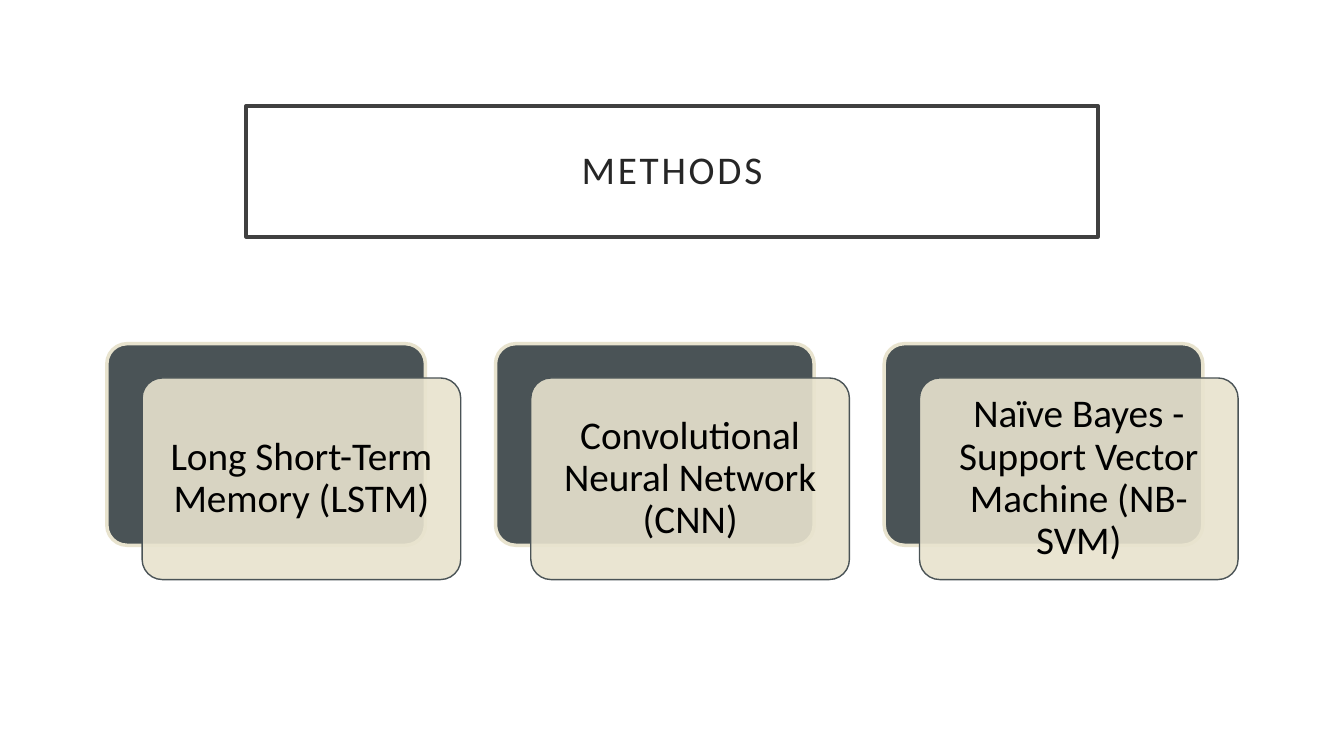
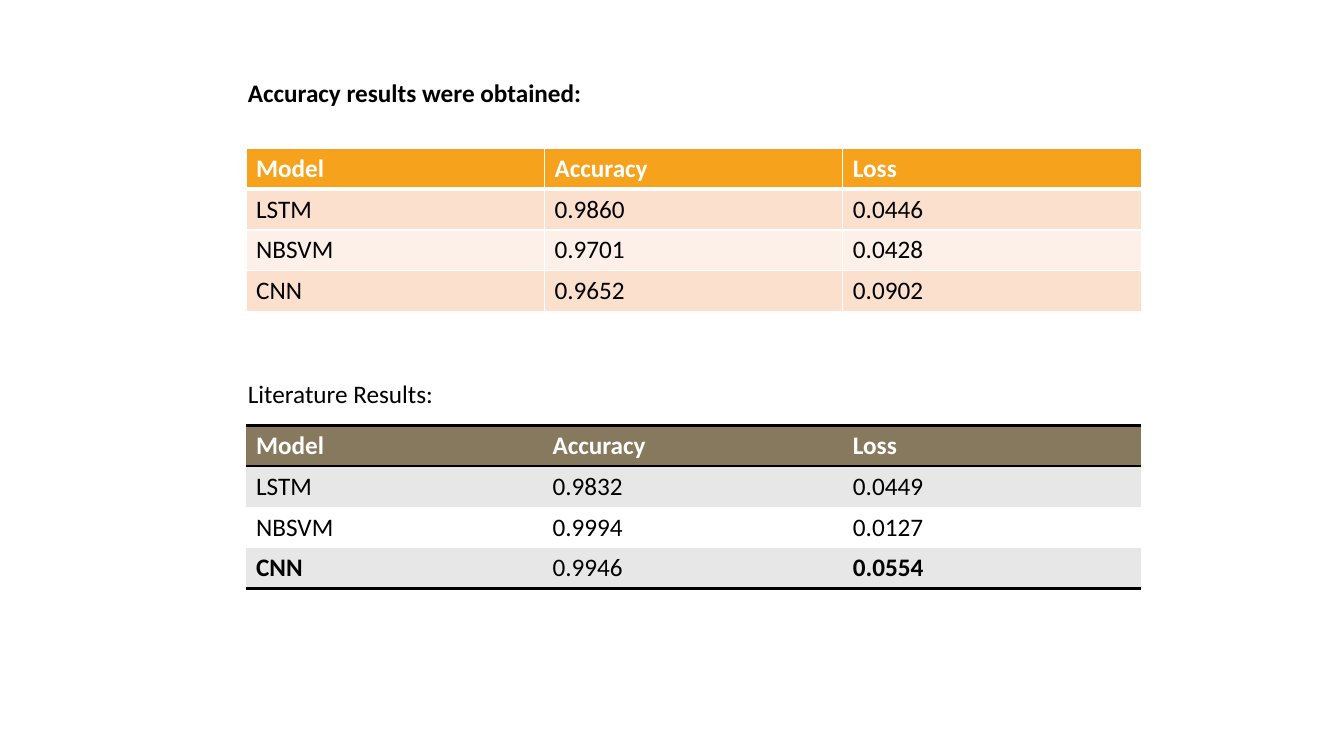
"""Build two slides: the methods and their accuracy results."""
from lxml import etree
from pptx import Presentation
from pptx.dml.color import RGBColor
from pptx.enum.shapes import MSO_SHAPE
from pptx.enum.text import MSO_ANCHOR, MSO_AUTO_SIZE, PP_ALIGN
from pptx.oxml.ns import qn
from pptx.util import Inches, Pt

ROUND = MSO_SHAPE.ROUNDED_RECTANGLE
MIDDLE = MSO_ANCHOR.MIDDLE
CENTER, LEFT = PP_ALIGN.CENTER, PP_ALIGN.LEFT
FIXED, GROW = MSO_AUTO_SIZE.NONE, MSO_AUTO_SIZE.SHAPE_TO_FIT_TEXT

FONT = "Calibri"
BLACK, WHITE = "000000", "FFFFFF"
SLATE, SAND = "4A5356", "E8E3CE"
FRAME, INK = "404040", "262626"
NO_STYLE = "{2D5ABB26-0587-4C30-8999-92F81FD0307C}"
SIDES = ("L", "R", "T", "B")

TITLE = "METHODS"
METHODS = [
    "Long Short-Term Memory (LSTM)",
    "Convolutional Neural Network (CNN)",
    "Naïve Bayes - Support Vector Machine (NB-SVM)",
]
CARD_W, CARD_H = 3.16, 2
CARD_X, CARD_Y, STEP = 1.06, 3.41, 3.855
SHIFT_X, SHIFT_Y = 0.35, 0.34

HEAD = ("Model", "Accuracy", "Loss")
TABLE_X, ROW_H = 2.44, 0.405
RESULTS = [
    {
        "label": "Accuracy results were obtained:", "bold": True,
        "box": (2.36, 0.72, 3.97, 0.4), "top": 1.47,
        "cols": (2.96, 2.96, 2.96),
        "rows": [
            ("LSTM", "0.9860", "0.0446"),
            ("NBSVM", "0.9701", "0.0428"),
            ("CNN", "0.9652", "0.0902"),
        ],
        "head": "F6A21D", "bands": ("FBE0CD", "FDF0E8"), "strong": (),
        "lines": {
            "head": {"L": 1, "R": 1, "T": 1, "B": 3},
            "body": {"L": 1, "R": 1, "T": 1, "B": 1},
            "last": {"L": 1, "R": 1, "T": 1, "B": 1},
        },
        "rule": WHITE,
    },
    {
        "label": "Literature Results:", "bold": False,
        "box": (2.36, 3.7, 2.08, 0.4), "top": 4.22,
        "cols": (2.94, 2.98, 2.96),
        "rows": [
            ("LSTM", "0.9832", "0.0449"),
            ("NBSVM", "0.9994", "0.0127"),
            ("CNN", "0.9946", "0.0554"),
        ],
        "head": "87795D", "bands": ("E7E7E7", WHITE),
        "strong": ("CNN", "0.0554"),
        "lines": {
            "head": {"T": 2, "B": 2},
            "body": {},
            "last": {"B": 2},
        },
        "rule": BLACK,
    },
]


def color(code):
    return RGBColor.from_string(code)


def write(frame, text, size=18, ink=BLACK, bold=False, align=LEFT, lead=None,
          track=None):
    par = frame.paragraphs[0]
    par.alignment = align
    par.line_spacing = lead
    run = par.add_run()
    run.text = text
    font = run.font
    font.name, font.size, font.bold = FONT, Pt(size), bold
    font.color.rgb = color(ink)
    if track:
        run._r.get_or_add_rPr().set("spc", str(track * 100))


def place(shape, *box):
    shape.left, shape.top, shape.width, shape.height = map(Inches, box)


def pad(frame, inset):
    frame.margin_left = frame.margin_right = Inches(inset)
    frame.margin_top = frame.margin_bottom = Inches(inset)
    frame.vertical_anchor = MIDDLE
    frame.word_wrap = True
    frame.auto_size = FIXED


def paint(shape, fill, line, width, alpha=None):
    shape.fill.solid()
    shape.fill.fore_color.rgb = color(fill)
    shape.line.color.rgb = color(line)
    shape.line.width = Pt(width)
    if alpha:
        tone = shape._element.spPr.find(qn("a:solidFill"))[0]
        etree.SubElement(tone, qn("a:alpha"), val=str(alpha * 1000))


def card(slide, x, y, fill, line, width, alpha=None):
    shape = slide.shapes.add_shape(
        ROUND, Inches(x), Inches(y), Inches(CARD_W), Inches(CARD_H))
    shape.adjustments[0] = 0.1
    shape.shadow.inherit = False
    paint(shape, fill, line, width, alpha)
    return shape


def border(cell, widths, rule):
    props = cell._tc.get_or_add_tcPr()
    for spot, side in enumerate(SIDES):
        line = etree.Element(qn("a:ln" + side))
        if side in widths:
            line.set("w", str(Pt(widths[side])))
            fill = etree.SubElement(line, qn("a:solidFill"))
            etree.SubElement(fill, qn("a:srgbClr"), val=rule)
        else:
            etree.SubElement(line, qn("a:noFill"))
        props.insert(spot, line)


def grid(slide, part):
    rows = [HEAD, *part["rows"]]
    frame = slide.shapes.add_table(
        len(rows), len(HEAD), Inches(TABLE_X), Inches(part["top"]),
        Inches(sum(part["cols"])), Inches(ROW_H * len(rows)))
    table = frame.table
    table._tbl.tblPr.find(qn("a:tableStyleId")).text = NO_STYLE
    for col, width in zip(table.columns, part["cols"]):
        col.width = Inches(width)
    for r, row in enumerate(rows):
        kind = "head" if r == 0 else "last" if r == len(rows) - 1 else "body"
        top = kind == "head"
        for c, text in enumerate(row):
            cell = table.cell(r, c)
            cell.fill.solid()
            cell.fill.fore_color.rgb = color(
                part["head"] if top else part["bands"][(r - 1) % 2])
            write(cell.text_frame, text, ink=WHITE if top else BLACK,
                  bold=top or text in part["strong"])
            lines = dict(part["lines"][kind])
            if r == 1 and "B" in part["lines"]["head"]:
                lines["T"] = part["lines"]["head"]["B"]
            border(cell, lines, part["rule"])


def methods(deck):
    slide = deck.slides.add_slide(deck.slide_layouts[5])
    title = slide.shapes.title
    place(title, 2.44, 1.05, 8.45, 1.3)
    paint(title, WHITE, FRAME, 2.5)
    pad(title.text_frame, 0.2)
    write(title.text_frame, TITLE, size=28, ink=INK, align=CENTER, lead=0.9,
          track=2)
    for i, name in enumerate(METHODS):
        x = CARD_X + i * STEP
        card(slide, x, CARD_Y, SLATE, SAND, 2.5)
        front = card(slide, x + SHIFT_X, CARD_Y + SHIFT_Y, SAND, SLATE, 1, 90)
        pad(front.text_frame, 0.12)
        write(front.text_frame, name, size=28, align=CENTER, lead=0.9)


def results(deck):
    slide = deck.slides.add_slide(deck.slide_layouts[6])
    for part in RESULTS:
        grid(slide, part)
        label = slide.shapes.add_textbox(*map(Inches, part["box"]))
        label.text_frame.word_wrap = False
        label.text_frame.auto_size = GROW
        write(label.text_frame, part["label"], bold=part["bold"])


def main():
    deck = Presentation()
    deck.slide_width, deck.slide_height = Inches(13.33), Inches(7.5)
    methods(deck)
    results(deck)
    deck.save("out.pptx")


if __name__ == "__main__":
    main()
